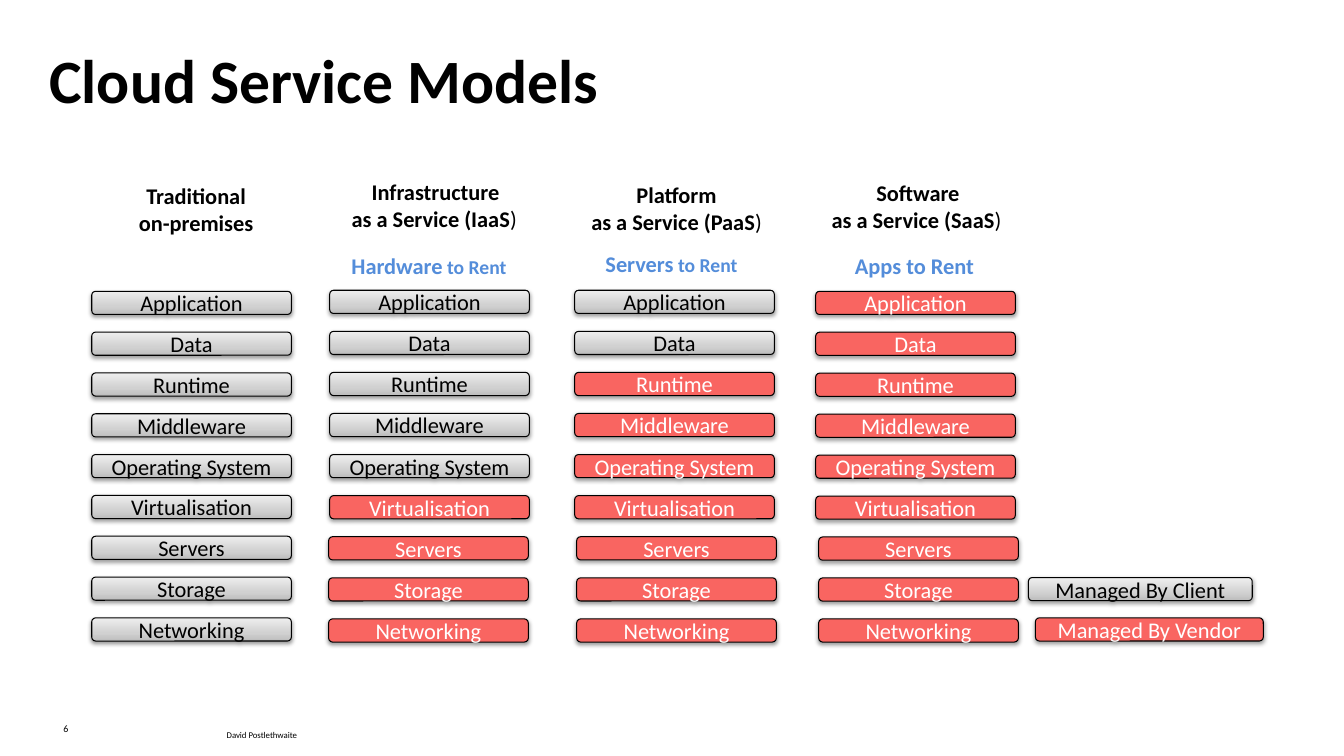
from pptx import Presentation
from pptx.dml.color import RGBColor
from pptx.enum.shapes import MSO_SHAPE as Shape
from pptx.enum.text import MSO_ANCHOR as Anchor, PP_ALIGN as Align
from pptx.oxml import parse_xml
from pptx.oxml.ns import nsdecls
from pptx.util import Inches, Pt

FONT = "Calibri"
BLACK = RGBColor(0x00, 0x00, 0x00)
WHITE = RGBColor(0xFF, 0xFF, 0xFF)
RED = RGBColor(0xF9, 0x65, 0x61)
BLUE = RGBColor(0x54, 0x8D, 0xDA)
GREY_STOPS = [
    (0, RGBColor(0xBD, 0xBD, 0xBD)),
    (35, RGBColor(0xD1, 0xD1, 0xD1)),
    (100, RGBColor(0xEE, 0xEE, 0xEE)),
]

LAYERS = ["Application", "Data", "Runtime", "Middleware", "Operating System",
          "Virtualisation", "Servers", "Storage", "Networking"]
LOWER_LAYERS = 3  # hardware layers, set at their own left edge
BAR_WIDTH, BAR_HEIGHT = 1.98, 0.23

# Bars: left, left of the hardware layers, first top, last top, layers run by client
# Heading and tagline: box, then lines of (text, size, bold) runs
MODELS = [
    {"bars": (0.91, 0.91, 2.89, 6.13, 9),
     "heading": (1.27, 1.76, 1.35, 0.64), "second_line": Align.CENTER,
     "lines": [[("Traditional", 16, True)], [("on-premises", 16, True)]]},
    {"bars": (3.27, 3.26, 2.88, 6.14, 5),
     "heading": (3.39, 1.72, 1.86, 0.64), "second_line": Align.LEFT,
     "lines": [[("Infrastructure", 16, True)],
               [("as a Service (IaaS", 16, True), (")", 16, False)]],
     "tagline": (3.38, 2.45, 1.75, 0.37),
     "offer": [("Hardware", 16, True), (" to Rent", 14, True)]},
    {"bars": (5.7, 5.72, 2.88, 6.14, 2),
     "heading": (5.75, 1.75, 1.92, 0.64), "second_line": Align.CENTER,
     "lines": [[("Platform", 16, True)],
               [("as a Service (PaaS", 16, True), (")", 16, False)]],
     "tagline": (5.9, 2.43, 1.52, 0.37),
     "offer": [("Servers", 16, True), (" to Rent", 14, True)]},
    {"bars": (8.09, 8.12, 2.89, 6.14, 0),
     "heading": (8.15, 1.73, 1.91, 0.64), "second_line": Align.LEFT,
     "lines": [[("Software", 16, True)],
               [("as a Service (SaaS", 16, True), (")", 16, False)]],
     "tagline": (8.37, 2.45, 1.4, 0.37),
     "offer": [("Apps to Rent", 16, True)]},
]


def add_text(slide, box, lines, color=BLACK, aligns=(Align.LEFT,), wrap=False,
             anchor=Anchor.TOP):
    shape = slide.shapes.add_textbox(*map(Inches, box))
    text_frame = shape.text_frame
    text_frame.word_wrap = wrap
    text_frame.vertical_anchor = anchor
    text_frame.text = "\n".join("" for _ in lines)
    for paragraph, runs, align in zip(text_frame.paragraphs, lines, aligns):
        paragraph.alignment = align
        for text, size, bold in runs:
            run = paragraph.add_run()
            run.text = text
            run.font.name = FONT
            run.font.size = Pt(size)
            run.font.bold = bold
            run.font.color.rgb = color


def add_bar(shapes, box, text, by_client):
    shape = shapes.add_shape(Shape.ROUNDED_RECTANGLE, *map(Inches, box))
    properties = shape.element.spPr
    if by_client:
        stops = "".join(f'<a:gs pos="{position * 1000}"><a:srgbClr val="{color}"/></a:gs>'
                        for position, color in GREY_STOPS)
        properties.insert(2, parse_xml(
            f'<a:gradFill {nsdecls("a")} rotWithShape="1"><a:gsLst>{stops}</a:gsLst>'
            '<a:lin ang="16200000" scaled="0"/></a:gradFill>'))
    else:
        shape.fill.solid()
        shape.fill.fore_color.rgb = RED
    shape.line.color.rgb = BLACK
    shape.line.width = Pt(0.75)

    # Soft shadow below the bar
    shape.shadow.inherit = False
    effects = properties.find("{*}effectLst")
    effects.append(parse_xml(
        f'<a:outerShdw {nsdecls("a")} blurRad="{Pt(3.1)}" dist="{Pt(1.6)}" '
        'dir="5400000" rotWithShape="0"><a:srgbClr val="000000">'
        '<a:alpha val="38000"/></a:srgbClr></a:outerShdw>'))

    text_frame = shape.text_frame
    text_frame.text = text
    text_frame.word_wrap = True
    text_frame.vertical_anchor = Anchor.MIDDLE
    paragraph = text_frame.paragraphs[0]
    paragraph.alignment = Align.CENTER
    font = paragraph.runs[0].font
    font.name = FONT
    font.size = Pt(16)
    font.color.rgb = BLACK if by_client else WHITE


def add_stack(slide, left, lower_left, top, last_top, client_layers):
    group = slide.shapes.add_group_shape()
    pitch = (last_top - top) / (len(LAYERS) - 1)
    for row, layer in enumerate(LAYERS):
        is_lower = row >= len(LAYERS) - LOWER_LAYERS
        box = (lower_left if is_lower else left, top + row * pitch, BAR_WIDTH, BAR_HEIGHT)
        add_bar(group.shapes, box, layer, row < client_layers)


def add_model(slide, model):
    add_stack(slide, *model["bars"])
    add_text(slide, model["heading"], model["lines"],
             aligns=(Align.CENTER, model["second_line"]))
    if "tagline" in model:
        add_text(slide, model["tagline"], [model["offer"]], BLUE, (Align.CENTER,))


def add_legend(slide, left, top):
    add_bar(slide.shapes, (left, top, 2.22, BAR_HEIGHT), "Managed By Client", True)
    add_bar(slide.shapes, (left + 0.07, top + 0.4, 2.26, BAR_HEIGHT),
            "Managed By Vendor", False)


def add_footer(slide, left, top):
    add_text(slide, (left, top, 0.44, 0.22), [[("6", 7.1, False)]], wrap=True)
    add_text(slide, (left + 1.62, top + 0.07, 0.93, 0.21),
             [[("David Postlethwaite", 6.3, False)]])


def main():
    presentation = Presentation()
    presentation.slide_width = Inches(13.33)
    presentation.slide_height = Inches(7.5)
    slide = presentation.slides.add_slide(presentation.slide_layouts[6])
    add_footer(slide, 0.53, 7.12)
    add_text(slide, (0.39, 0.39, 11.81, 0.79), [[("Cloud Service Models", 44, True)]],
             wrap=True, anchor=Anchor.MIDDLE)
    for model in MODELS:
        add_model(slide, model)
    add_legend(slide, 10.2, 5.73)
    presentation.save("out.pptx")


if __name__ == "__main__":
    main()
